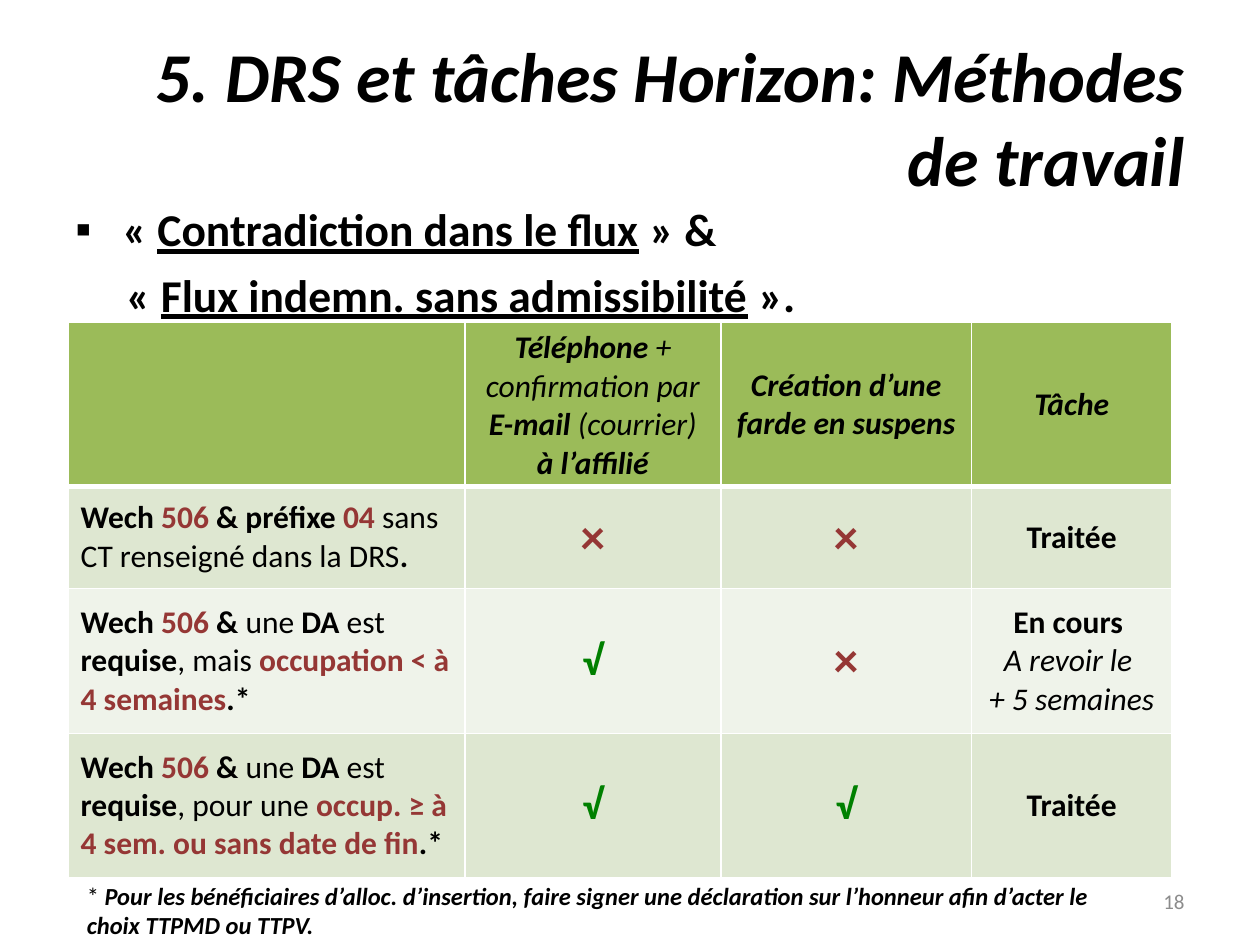
from typing import NamedTuple

from lxml import etree
from pptx import Presentation
from pptx.dml.color import RGBColor
from pptx.enum.text import MSO_ANCHOR, MSO_AUTO_SIZE, PP_ALIGN
from pptx.oxml.ns import qn
from pptx.util import Pt

LEFT, CENTER, RIGHT = PP_ALIGN.LEFT, PP_ALIGN.CENTER, PP_ALIGN.RIGHT
MIDDLE, TOP = MSO_ANCHOR.MIDDLE, MSO_ANCHOR.TOP
NO_AUTOFIT = MSO_AUTO_SIZE.NONE

FONT = "Calibri"
TITLE_ONLY = 5
COLORS = {
    "text": "000000",
    "alert": "953735",
    "ok": "008000",
    "page": "8C8C8C",
    "header": "9BBB59",
    "band_dark": "DEE7D1",
    "band_light": "EFF3EA",
    "border": "FFFFFF",
}


class Run(NamedTuple):
    text: str
    bold: bool = True
    italic: bool = False
    underline: bool = False
    size: float = 18
    color: str = "text"


class Cell(NamedTuple):
    paragraphs: list[list[Run]]
    align: PP_ALIGN = CENTER


class Box(NamedTuple):
    left: float
    top: float
    width: float
    height: float


def plain(text: str) -> Run:
    return Run(text, bold=False)


def alert(text: str) -> Run:
    return Run(text, color="alert")


def heading(text: str, bold: bool = True) -> Run:
    return Run(text, bold=bold, italic=True)


def required_da(link: str, condition: str) -> Cell:
    """Row label for a case where a DA is required, under a condition."""
    return Cell([[Run("Wech "), alert("506 "), Run("& "), plain("une "), Run("DA"),
                  plain(" est "), Run("requise"), plain(link), alert(condition),
                  Run(".*")]], LEFT)


EMPTY = Cell([[]])
NO = Cell([[Run("×", size=28, color="alert")]])
YES = Cell([[Run("√", size=24, color="ok")]])
DONE = Cell([[Run("Traitée")]])

HEADER = [
    EMPTY,
    Cell([[heading("Téléphone "), heading("+ confirmation par ", False),
           heading("E-mail "), heading("(courrier)", False)],
          [heading("à l’affilié")]]),
    Cell([[heading("Création d’une farde en suspens")]]),
    Cell([[heading("Tâche")]]),
]
PREFIX_CASE = Cell([[Run("Wech "), alert("506 "), Run("& préfixe "), alert("04 "),
                     plain("sans CT renseigné dans la DRS"), Run(".")]], LEFT)
IN_PROGRESS = Cell([[Run("En cours ")], [heading("A revoir le ", False)],
                    [heading("+ 5 semaines", False)]])
ROWS = [
    HEADER,
    [PREFIX_CASE, NO, NO, DONE],
    [required_da(", mais ", "occupation < à 4 semaines"), YES, NO, IN_PROGRESS],
    [required_da(", pour une ", "occup. ≥ à 4 sem. ou sans date de fin"),
     YES, YES, DONE],
]
ROW_FILLS = ["header", "band_dark", "band_light", "band_dark"]
COLUMN_WIDTHS = [226.8, 146.2, 143.3, 114.5]
ROW_HEIGHTS = [93.6, 58.3, 82.8, 82.8]

TITLE_BOX = Box(36, 21.6, 648, 90)
TOPIC_BOX = Box(36, 111.6, 648, 371)
TABLE_BOX = Box(38.9, 184.3, sum(COLUMN_WIDTHS), sum(ROW_HEIGHTS))
NOTE_BOX = Box(42.5, 499.7, 617.8, 41)
PAGE_BOX = Box(516, 500.4, 168, 28.8)


def rgb(name: str) -> RGBColor:
    return RGBColor.from_string(COLORS[name])


def write_text(frame, paragraphs: list[list[Run]], *, align=LEFT, anchor=TOP) -> None:
    frame.word_wrap = True
    frame.vertical_anchor = anchor
    for index, runs in enumerate(paragraphs):
        paragraph = frame.paragraphs[0] if index == 0 else frame.add_paragraph()
        paragraph.alignment = align
        for item in runs:
            run = paragraph.add_run()
            run.text = item.text
            run.font.name = FONT
            run.font.size = Pt(item.size)
            run.font.bold = item.bold
            run.font.italic = item.italic
            run.font.underline = item.underline
            run.font.color.rgb = rgb(item.color)


def add_text(slide, box: Box, paragraphs: list[list[Run]], **text_format):
    frame = slide.shapes.add_textbox(*map(Pt, box)).text_frame
    write_text(frame, paragraphs, **text_format)
    return frame


def indent(paragraph, margin: float, first_line: float, bullet: str = "") -> None:
    properties = paragraph._p.get_or_add_pPr()
    properties.set("marL", str(Pt(margin)))
    properties.set("indent", str(Pt(first_line)))
    if bullet:
        etree.SubElement(properties, qn("a:buFont"), typeface="Arial")
        etree.SubElement(properties, qn("a:buChar"), char=bullet)


def add_border(cell, side: str, width: float) -> None:
    line = etree.SubElement(cell._tc.get_or_add_tcPr(), qn(f"a:ln{side}"),
                            w=str(Pt(width)))
    fill = etree.SubElement(line, qn("a:solidFill"))
    etree.SubElement(fill, qn("a:srgbClr"), val=COLORS["border"])


def add_case_table(slide) -> None:
    table = slide.shapes.add_table(len(ROWS), len(COLUMN_WIDTHS),
                                   *map(Pt, TABLE_BOX)).table
    for column, width in zip(table.columns, COLUMN_WIDTHS):
        column.width = Pt(width)
    for row, height in zip(table.rows, ROW_HEIGHTS):
        row.height = Pt(height)
    for r, (contents, fill) in enumerate(zip(ROWS, ROW_FILLS)):
        for c, content in enumerate(contents):
            cell = table.cell(r, c)
            write_text(cell.text_frame, content.paragraphs, align=content.align)
            cell.vertical_anchor = MIDDLE
            widths = {"L": 1, "R": 1, "T": 3 if r == 1 else 1, "B": 3 if r == 0 else 1}
            for side, width in widths.items():
                add_border(cell, side, width)
            cell.fill.solid()
            cell.fill.fore_color.rgb = rgb(fill)


def add_title(slide, text: str) -> None:
    title = slide.shapes.title
    title.left, title.top, title.width, title.height = map(Pt, TITLE_BOX)
    write_text(title.text_frame, [[Run(text, italic=True, size=40)]],
               align=RIGHT, anchor=MIDDLE)
    title.text_frame.auto_size = NO_AUTOFIT


def add_topics(slide) -> None:
    topics = [("Contradiction dans le flux", " » &"),
              ("Flux indemn. sans admissibilité", " ».")]
    frame = add_text(slide, TOPIC_BOX, [
        [Run("« ", size=26), Run(topic, underline=True, size=26), Run(end, size=26)]
        for topic, end in topics])
    first, second = frame.paragraphs
    indent(first, 27, -27, "▪")
    indent(second, 29, 0)
    second.space_before = Pt(6)


def main() -> None:
    presentation = Presentation()
    presentation.slide_width, presentation.slide_height = Pt(720), Pt(540)
    slide = presentation.slides.add_slide(presentation.slide_layouts[TITLE_ONLY])
    add_title(slide, "5. DRS et tâches Horizon: Méthodes de travail")
    add_topics(slide)
    add_case_table(slide)
    add_text(slide, NOTE_BOX, [[
        Run("* ", bold=False, size=14),
        Run("Pour les bénéficiaires d’alloc. d’insertion, faire signer une déclaration "
            "sur l’honneur afin d’acter le choix TTPMD ou TTPV.", italic=True, size=14)]])
    add_text(slide, PAGE_BOX, [[Run("18", bold=False, size=12, color="page")]],
             align=RIGHT, anchor=MIDDLE)
    presentation.save("out.pptx")


if __name__ == "__main__":
    main()
